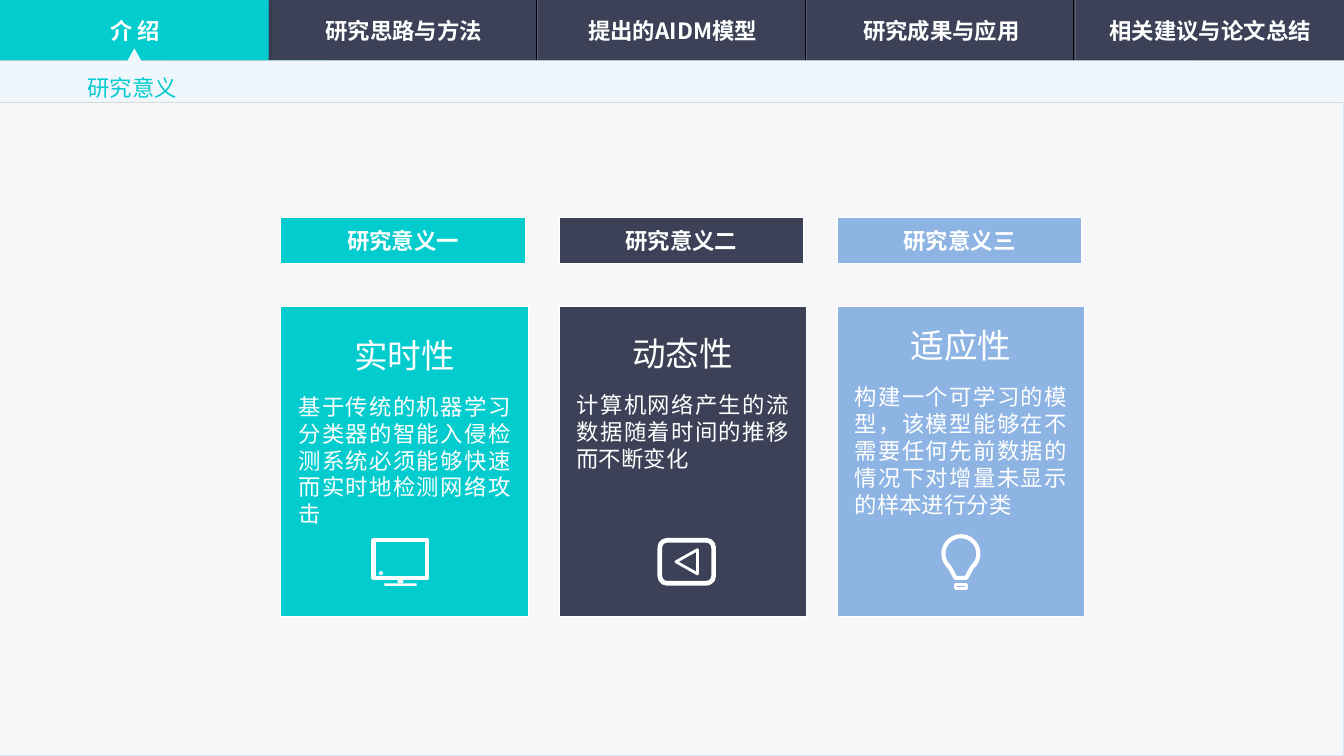
from math import cos, radians, sin

from lxml.etree import SubElement
from pptx import Presentation
from pptx.dml.color import RGBColor
from pptx.enum.shapes import MSO_CONNECTOR, MSO_SHAPE
from pptx.enum.text import MSO_ANCHOR, PP_ALIGN
from pptx.oxml.ns import qn
from pptx.util import Inches, Pt

HEX = {"teal": "03CCCE", "navy": "3C4157", "blue": "8EB4E3", "white": "FFFFFF",
       "page": "F7F7F9", "edge": "D4E7F9", "strip": "EFF6FC", "rule": "D9D9D9",
       "black": "000000", "slate": "596181", "dusk": "3B445B"}
NOTO, ROBOTO = "Noto Sans CJK SC", "Roboto Condensed"
TABS = ["介 绍", "研究思路与方法", "提出的AIDM模型", "研究成果与应用", "相关建议与论文总结"]


def color(name):
    return RGBColor.from_string(HEX[name])


def paint(shape, fill=None, line=None, width=0.5):
    shape.shadow.inherit = False
    if fill:
        shape.fill.solid()
        shape.fill.fore_color.rgb = color(fill)
    else:
        shape.fill.background()
    if line:
        shape.line.color.rgb = color(line)
        shape.line.width = Pt(width)
    else:
        shape.line.fill.background()
    return shape


def block(slide, x, y, w, h, fill=None, line=None, width=0.5, kind=MSO_SHAPE.RECTANGLE):
    shape = slide.shapes.add_shape(kind, Inches(x), Inches(y), Inches(w), Inches(h))
    return paint(shape, fill, line, width)


def outline(slide, points, fill=None, line=None, width=0.5):
    """Draw a closed polygon through points given in inches."""
    spots = [(Inches(x), Inches(y)) for x, y in points]
    pen = slide.shapes.build_freeform(*spots[0])
    pen.add_line_segments(spots[1:], close=True)
    return paint(pen.convert_to_shape(), fill, line, width)


def rule(slide, x1, y1, x2, y2, name, width=0.5):
    line = slide.shapes.add_connector(
        MSO_CONNECTOR.STRAIGHT, Inches(x1), Inches(y1), Inches(x2), Inches(y2))
    line.line.color.rgb = color(name)
    line.line.width = Pt(width)
    SubElement(line._element.spPr, qn("a:effectLst"))


def style(para, size, name="white", bold=False, font=NOTO, align=PP_ALIGN.CENTER):
    para.alignment = align
    for run in para.runs:
        run.font.size, run.font.bold, run.font.name = Pt(size), bold, font
        run.font.color.rgb = color(name)
        SubElement(run._r.get_or_add_rPr(), qn("a:ea"), typeface=NOTO)


def label(shape, text, font=NOTO):
    frame = shape.text_frame
    frame.text = text
    frame.vertical_anchor = MSO_ANCHOR.MIDDLE
    style(frame.paragraphs[0], 12, bold=True, font=font)


def glow(shape):
    """Add a soft dark shadow around the shape."""
    effects = shape._element.spPr.find(qn("a:effectLst"))
    outer = SubElement(effects, qn("a:outerShdw"), blurRad=str(Pt(3)), dist="0", dir="16200000")
    tint = SubElement(outer, qn("a:srgbClr"), val=HEX["black"])
    SubElement(tint, qn("a:alpha"), val="20000")


def backdrop(slide, w, h):
    fill = slide.background.fill
    fill.gradient()
    fill.gradient_angle = 45
    for stop, name in zip(fill.gradient_stops, ("teal", "dusk")):
        stop.color.rgb = color(name)
    block(slide, 0, 0.76, w, h - 0.76, "page", "edge")


def navbar(slide, w, h):
    """Draw the tab bar, its active tab and the strip that points up to it."""
    step = w / len(TABS)
    block(slide, 0, 0, w, h, "navy")
    for i in range(1, len(TABS)):
        x = i * step - 0.01
        rule(slide, x, 0, x, h, "black")
        rule(slide, x + 0.01, 0, x + 0.01, h, "slate", 0.75)
    glow(block(slide, 0, 0, step, h, "teal"))
    mid, low = step / 2, 0.76
    outline(slide, [(mid, h - 0.09), (mid + 0.05, h), (w, h), (w, low),
                    (0, low), (0, h), (mid - 0.05, h)], "strip")
    rule(slide, 0, low, w, low, "rule")
    for i, text in enumerate(TABS):
        tab = block(slide, i * step + 0.01, 0.07, step - 0.01, 0.31,
                    kind=MSO_SHAPE.ROUNDED_RECTANGLE)
        tab.adjustments[0] = 0
        label(tab, text)


def heading(slide, x, y, w, h):
    title = slide.shapes.title
    title.left, title.top, title.width, title.height = map(Inches, (x, y, w, h))
    frame = title.text_frame
    frame.text = "研究意义"
    frame.word_wrap = False
    frame.vertical_anchor = MSO_ANCHOR.MIDDLE
    para = frame.paragraphs[0]
    para.line_spacing = 1.5
    style(para, 12, "teal", align=PP_ALIGN.LEFT)
    slide.shapes._spTree.append(title._element)


def screen(slide, x, y):
    block(slide, x - 0.2, y - 0.16, 0.4, 0.28, line="white", width=2.25)
    block(slide, x - 0.16, y + 0.07, 0.03, 0.03, "white", kind=MSO_SHAPE.OVAL)
    block(slide, x - 0.02, y + 0.13, 0.04, 0.03, "white")
    block(slide, x - 0.12, y + 0.16, 0.24, 0.02, "white")


def play(slide, x, y):
    block(slide, x - 0.2, y - 0.16, 0.4, 0.32, line="white", width=2.5,
          kind=MSO_SHAPE.ROUNDED_RECTANGLE)
    outline(slide, [(x - 0.08, y), (x + 0.08, y - 0.09), (x + 0.08, y + 0.09)],
            line="white", width=1.5)


def bulb(slide, x, y):
    arc = [(x + 0.13 * sin(radians(a)), y - 0.06 + 0.13 * cos(radians(a)))
           for a in range(40, 321, 10)]
    outline(slide, [(x + 0.04, y + 0.12), *arc, (x - 0.04, y + 0.12)],
            line="white", width=2.25)
    block(slide, x - 0.04, y + 0.17, 0.08, 0.03, line="white", width=1.5)


def card(slide, x, y, w, h, tag, name, head, body, drop, icon, shift):
    """Draw a tag above a filled panel with head, body and icon."""
    block(slide, x, y + 0.66, w, h - 0.66, name, "white")
    label(block(slide, x, y, w - 0.02, 0.34, name, "white"), tag, ROBOTO)
    box = slide.shapes.add_textbox(
        Inches(x + 0.13), Inches(y + drop), Inches(1.58), Inches(1.45))
    frame = box.text_frame
    frame.word_wrap = True
    frame.margin_left = frame.margin_right = frame.margin_top = frame.margin_bottom = 0
    frame.text = head + "\n" + body
    top, text = frame.paragraphs
    style(top, 18)
    style(text, 12, align=PP_ALIGN.JUSTIFY)
    top.line_spacing, text.line_spacing = Pt(21.6), Pt(14.4)
    text.space_before = Pt(9.6)
    icon(slide, x + w / 2 + shift, y + 2.56)


CARDS = [
    ("研究意义一", "teal", "实时性",
     "基于传统的机器学习分类器的智能入侵检测系统必须能够快速而实时地检测网络攻击",
     0.87, screen, -0.03),
    ("研究意义二", "navy", "动态性", "计算机网络产生的流数据随着时间的推移而不断变化",
     0.86, play, 0.03),
    ("研究意义三", "blue", "适应性",
     "构建一个可学习的模型，该模型能够在不需要任何先前数据的情况下对增量未显示的样本进行分类",
     0.8, bulb, 0),
]


def main():
    deck = Presentation()
    wide = Inches(10)
    high = wide * 9 // 16
    deck.slide_width, deck.slide_height = wide, high
    slide = deck.slides.add_slide(deck.slide_layouts[5])
    backdrop(slide, 10, 5.62)
    navbar(slide, 10, 0.45)
    heading(slide, 0.55, 0.4, 0.88, 0.4)
    for i, parts in enumerate(CARDS):
        card(slide, 2.09 + 2.07 * i, 1.62, 1.84, 2.97, *parts)
    deck.save("out.pptx")


if __name__ == "__main__":
    main()
